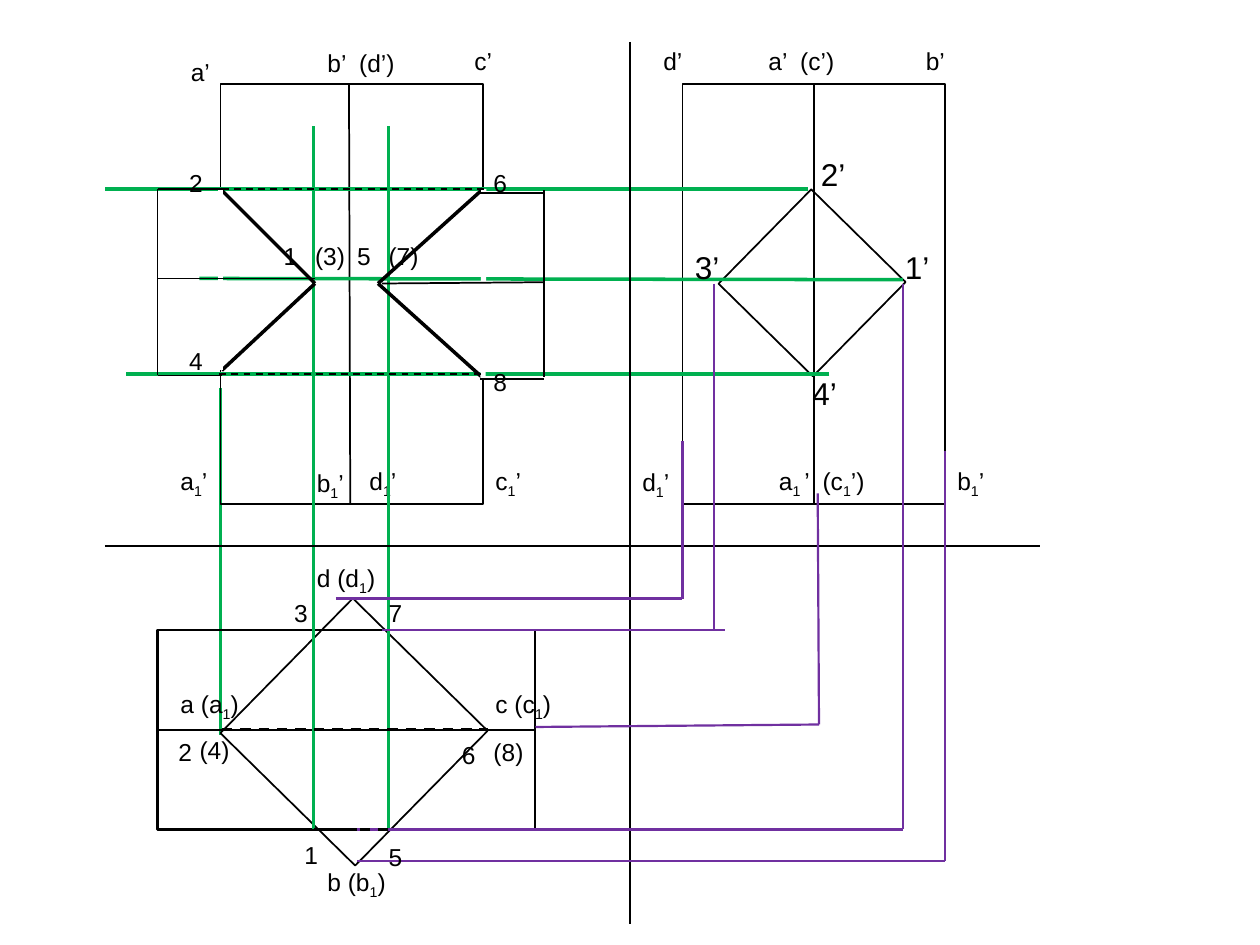
from lxml.etree import SubElement
from pptx import Presentation
from pptx.dml.color import RGBColor
from pptx.enum.dml import MSO_LINE
from pptx.enum.shapes import MSO_CONNECTOR, MSO_SHAPE
from pptx.enum.text import MSO_AUTO_SIZE
from pptx.oxml.ns import qn
from pptx.util import Inches, Pt

COLUMNS, ROWS = 120, 90
BLACK, GREEN, PURPLE, WHITE = "000000", "00B050", "7030A0", "FFFFFF"
SHEET, FRONT, SIDE, TOP = (0, 0), (15, 8), (65, 8), (15, 57)

presentation = Presentation()
presentation.slide_width = Inches(10)
presentation.slide_height = Inches(7.5)
slide = presentation.slides.add_slide(presentation.slide_layouts[6])


def color(value):
    """Turn a hex string into a colour."""
    return RGBColor.from_string(value)


def across(columns):
    """Give the length of a number of grid columns."""
    return round(presentation.slide_width * columns / COLUMNS)


def down(rows):
    """Give the length of a number of grid rows."""
    return round(presentation.slide_height * rows / ROWS)


def add_lines(origin, segments, tint=BLACK, width=1, dashed=False):
    """Draw straight segments, each x1, y1, x2, y2 from the origin."""
    left, top = origin
    for x1, y1, x2, y2 in segments:
        connector = slide.shapes.add_connector(
            MSO_CONNECTOR.STRAIGHT,
            across(left + x1), down(top + y1), across(left + x2), down(top + y2))
        SubElement(connector._element.spPr, qn("a:effectLst"))
        connector.line.color.rgb = color(tint)
        connector.line.width = Pt(width)
        if dashed:
            connector.line.dash_style = MSO_LINE.DASH


def add_outline(origin, x, y, width, height, weight=1, rotation=0):
    """Draw an unfilled rectangle."""
    shape = slide.shapes.add_shape(
        MSO_SHAPE.RECTANGLE, across(origin[0] + x), down(origin[1] + y),
        across(width), down(height))
    shape.shadow.inherit = False
    shape.fill.background()
    shape.line.color.rgb = color(BLACK)
    shape.line.width = Pt(weight)
    shape.rotation = rotation


def add_label(origin, text, x, y, width, height=4.08, size=14, inset=True, wrap=True):
    """Write a label in which text between bars is subscript."""
    box = slide.shapes.add_textbox(
        across(origin[0] + x), down(origin[1] + y), across(width), down(height))
    frame = box.text_frame
    frame.word_wrap = wrap
    frame.auto_size = MSO_AUTO_SIZE.SHAPE_TO_FIT_TEXT
    if not inset:
        frame.margin_left = frame.margin_right = 0
        frame.margin_top = frame.margin_bottom = 0
    for index, part in enumerate(text.split("|")):
        run = frame.paragraphs[0].add_run()
        run.text = part
        run.font.name = "Arial"
        run.font.size = Pt(size)
        run.font.color.rgb = color(BLACK)
        if index % 2:
            run.font._element.set("baseline", "-25000")


def add_labels(origin, labels):
    """Write the letters of a view."""
    for label in labels:
        add_label(origin, *label)


def add_numbers(origin, numbers):
    """Write the point numbers of a view."""
    for text, x, y in numbers:
        add_label(origin, text, x, y, 3, 2.88, inset=False)


def front_view(origin):
    """Draw the upright prism seen from the front."""
    add_outline(origin, 6, 0, 25, 40)
    add_lines(origin, [(18.36, 40, 18.24, 0)])
    add_labels(origin, [
        ("a’", 2, -3.2, 6), ("b’  (d’)", 15, -4, 10), ("c’", 29, -4.16, 6),
        ("a|1|’", 1, 35.8, 7), ("b|1|’", 14, 36, 6),
        ("d|1|’", 19, 35.8, 7), ("c|1|’", 31, 35.8, 7)])


def side_view(origin):
    """Draw the upright prism and the lying prism's end seen from the side."""
    add_outline(origin, 0, 0, 25, 40)
    add_outline(origin, 6.04, 12.64, 12.6, 12.6, rotation=44.5)
    add_lines(origin, [(12.5, 0, 12.5, 40)])
    add_labels(origin, [
        ("d’", -3, -4.16, 6), ("a’  (c’)", 7, -4.16, 10), ("b’", 22, -4.16, 6),
        ("d|1|’", -5, 35.9, 6), ("a|1 |’  (c|1|’)", 8, 35.8, 12),
        ("b|1|’", 25, 35.8, 6)])


def top_view(origin):
    """Draw both prisms seen from above."""
    add_outline(origin, 9.72, 3.72, 18, 18, rotation=44.5)
    add_outline(origin, 0, 3, 36, 19, weight=1.25)
    add_lines(origin, [(0, 12.5, 36, 12.5)])
    add_labels(origin, [
        ("a (a|1|)", 1, 8, 10), ("c (c|1|)", 31, 8, 10),
        ("b (b|1|)", 15, 25, 10), ("d (d|1|)", 14, -4, 10)])


def projection_lines(origin):
    """Carry the side and top views' points into the front view."""
    add_lines(origin, [
        (77, 18, 10, 18), (79, 35.64, 12, 35.64), (86, 26.64, 19, 26.52),
        (29.88, 12, 29.88, 79), (37, 12, 37, 79)], GREEN, 2)


def intersection(origin):
    """Draw the edges where the prisms meet in the front view."""
    for apex, top_edge, bottom_edge, bottom in (
            (15, (6, 6), (6, 6.12), 27.28), (21, (31, 31.08), (31, 31), 28)):
        add_lines(origin, [(apex, 19, top_edge[0], 10),
                           (apex, 19, bottom_edge[1], bottom)], width=2)
        add_lines(origin, [(top_edge[1], 10, bottom_edge[0], bottom)], WHITE, 3)
    add_numbers(origin, [
        ("2", 3, 8), ("4", 3, 25), ("1", 12, 15), ("(3)", 15, 15),
        ("5", 19, 15), ("(7)", 22, 15), ("6", 32, 8), ("8", 32, 27)])


def lying_prism(origin):
    """Draw the lying prism's ends and hidden edges in the front view."""
    add_lines(origin, [
        (6.12, 10, 0, 10), (0, 10, 0, 27.76), (6.12, 27.76, 0, 27.76),
        (15, 18.52, 0, 18.52), (30.72, 28.12, 36.84, 28.12),
        (36.84, 27.88, 36.84, 10.12), (30.72, 10.36, 36.84, 10.36),
        (21.36, 19, 36.84, 18.88)])
    add_lines(origin, [(6.12, 10, 31.44, 10), (5.88, 27.64, 31.2, 27.64)], dashed=True)


def side_numbers(origin):
    """Number the lying prism's corners in the side view."""
    for text, x, y, wrap in (("1’", 20, 15, True), ("3’", 0, 15, False),
                             ("2’", 12, 6.16, False), ("4’", 11.2, 27, False)):
        add_label(origin, text, x, y, 5, 4.8, size=18, wrap=wrap)


def transfer_lines(origin):
    """Link the top view with the side view."""
    add_lines(origin, [
        (36, 60, 69, 60), (68, 27, 68, 60), (86, 27, 86, 79), (34, 79, 86, 79),
        (32, 57, 65, 57), (34, 82, 90, 82), (65, 42, 65, 57), (90, 43, 90, 82),
        (51, 69.24, 78, 69), (77.88, 47, 78, 69)], PURPLE, 1.25)


def top_details(origin):
    """Add point numbers and hidden edges to the top view."""
    add_numbers(origin, [
        ("3", 13, 0), ("7", 22, 0), ("2", 2, 13.2), ("(4)", 4, 13),
        ("6", 29, 13.44), ("(8)", 32, 13.2), ("1", 14, 23), ("5", 22, 23.16)])
    add_lines(origin, [(6.12, 12.5, 31.44, 12.5), (21.36, 3, 15.96, 3),
                       (22, 22, 14.88, 22)], width=1.5, dashed=True)


def main():
    """Build the three-view drawing."""
    add_lines(SHEET, [(21, 37, 21, 70)], GREEN, 2)
    front_view(FRONT)
    side_view(SIDE)
    top_view(TOP)
    projection_lines(SHEET)
    intersection(FRONT)
    add_lines(SHEET, [(10, 52, 99, 52), (60, 4, 60, 88)])
    side_numbers(SIDE)
    transfer_lines(SHEET)
    lying_prism(FRONT)
    top_details(TOP)
    presentation.save("out.pptx")


if __name__ == "__main__":
    main()
